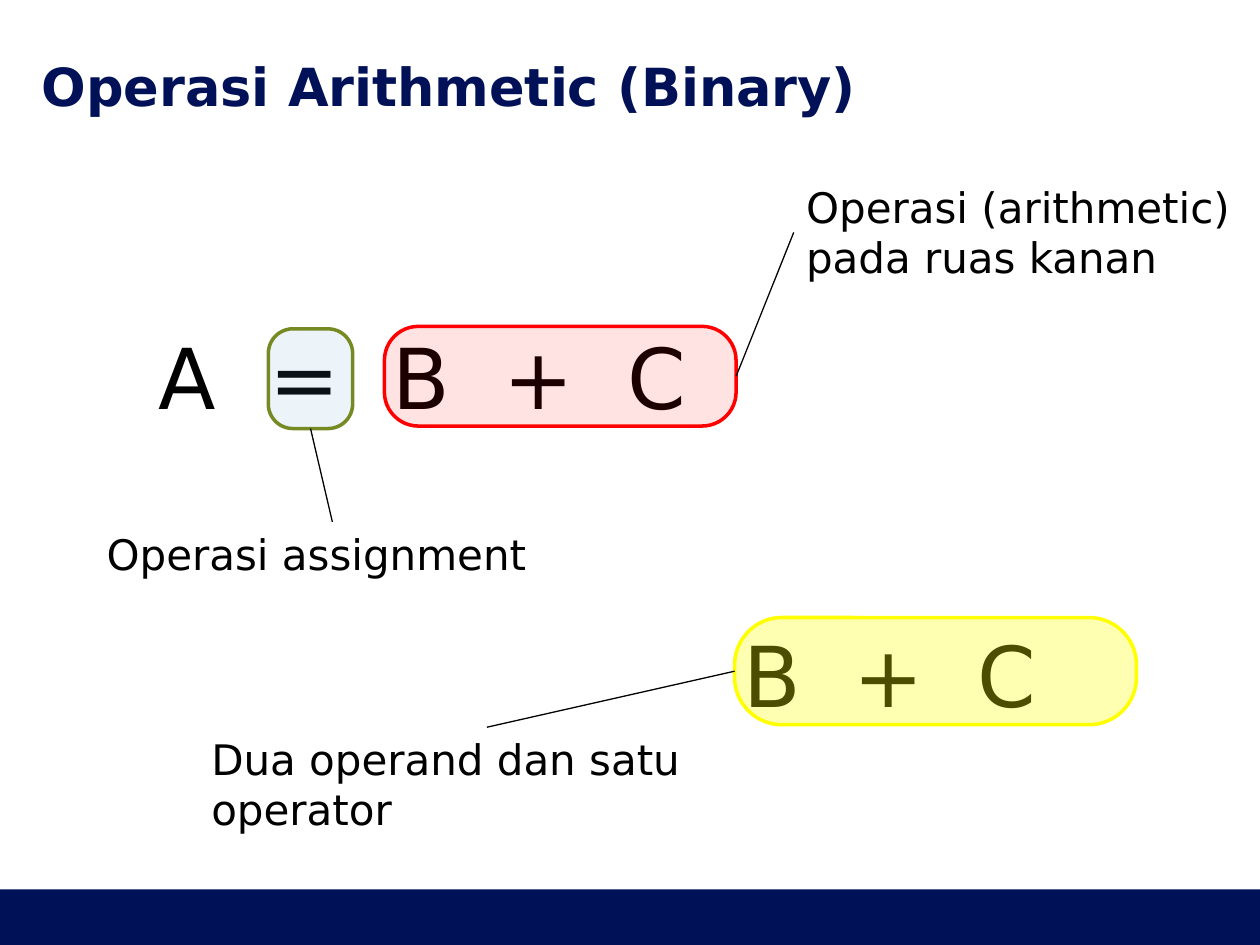
"""Build a slide that labels the parts of a binary arithmetic operation."""
import lxml.etree
import pptx
import pptx.dml.color
import pptx.enum.shapes
import pptx.enum.text
import pptx.oxml.ns
import pptx.util

Cm = pptx.util.Cm
RGBColor = pptx.dml.color.RGBColor
SHAPES = pptx.enum.shapes.MSO_SHAPE
AUTO_SIZE = pptx.enum.text.MSO_AUTO_SIZE
qn = pptx.oxml.ns.qn

NAVY = RGBColor(0x00, 0x11, 0x58)
BLACK = RGBColor(0x00, 0x00, 0x00)
BLUE = RGBColor(0x5B, 0x9B, 0xD5)
OLIVE = RGBColor(0x75, 0x8A, 0x22)
RED = RGBColor(0xFF, 0x00, 0x00)
YELLOW = RGBColor(0xFF, 0xFF, 0x00)
FONT = "DejaVu Sans"
TOP, LEFT, BOTTOM, RIGHT = range(4)


def style_text(frame, text, size, color, bold=False):
    frame.text = text
    font = frame.paragraphs[0].runs[0].font
    font.name, font.size, font.bold = FONT, pptx.util.Pt(size), bold
    font.color.rgb = color


def add_text(place, text, size, wrap):
    box = slide.shapes.add_textbox(*map(Cm, place))
    box.text_frame.word_wrap = wrap
    box.text_frame.auto_size = AUTO_SIZE.SHAPE_TO_FIT_TEXT
    style_text(box.text_frame, text, size, BLACK)
    return box


deck = pptx.Presentation()
deck.slide_width, deck.slide_height = Cm(25.4), Cm(19.05)
slide = deck.slides.add_slide(deck.slide_layouts[5])

title = slide.shapes.title
title.left, title.top, title.width, title.height = map(Cm, (0.84, 1.12, 23.72, 1.19))
frame = title.text_frame
frame.margin_left = frame.margin_top = frame.margin_right = frame.margin_bottom = 0
frame.vertical_anchor = pptx.enum.text.MSO_ANCHOR.MIDDLE
frame.auto_size = AUTO_SIZE.NONE
style_text(frame, "Operasi Arithmetic (Binary)", 30, NAVY, bold=True)
frame.paragraphs[0].alignment = pptx.enum.text.PP_ALIGN.LEFT

footer_bar = slide.shapes.add_shape(SHAPES.RECTANGLE, 0, Cm(17.93), deck.slide_width, Cm(1.12))
footer_bar.shadow.inherit = False
footer_bar.fill.solid()
footer_bar.fill.fore_color.rgb = NAVY
footer_bar.line.fill.background()

add_text((2.95, 6.43, 11.66, 2.31), "A  =  B  +  C", 48, False)
add_text((14.73, 12.45, 6.68, 2.31), "B  +  C", 48, False)

callouts = [
    ((5.41, 6.63, 1.7, 2.01), 0.291, BLUE, 11, OLIVE, BOTTOM,
     (1.9, 10.52, 9.6, 1.27), "Operasi assignment", TOP),
    ((7.75, 6.58, 7.09, 2.01), 0.341, RED, 11, RED, RIGHT,
     (16, 3.53, 9.6, 2.31), "Operasi (arithmetic) pada ruas kanan", LEFT),
    ((14.81, 12.45, 8.1, 2.16), 0.442, YELLOW, 30, YELLOW, LEFT,
     (4.01, 14.66, 11.61, 2.31), "Dua operand dan satu operator", TOP),
]
for place, rounding, fill, opacity, outline, start, label_place, text, end in callouts:
    highlight = slide.shapes.add_shape(SHAPES.ROUNDED_RECTANGLE, *map(Cm, place))
    highlight.adjustments[0] = rounding
    highlight.shadow.inherit = False
    highlight.fill.solid()
    highlight.fill.fore_color.rgb = fill
    color = highlight._element.spPr.find(qn("a:solidFill")).find(qn("a:srgbClr"))
    lxml.etree.SubElement(color, qn("a:alpha")).set("val", str(opacity * 1000))
    highlight.line.color.rgb = outline
    highlight.line.width = pptx.util.Pt(2)

    label = add_text(label_place, text, 24, True)

    leader = slide.shapes.add_connector(pptx.enum.shapes.MSO_CONNECTOR.STRAIGHT, 0, 0, 0, 0)
    leader.begin_connect(highlight, start)
    leader.end_connect(label, end)
    leader.line.color.rgb = BLACK
    leader.line.width = pptx.util.Pt(0.75)
    lxml.etree.SubElement(leader._element.spPr, qn("a:effectLst"))

deck.save("out.pptx")
